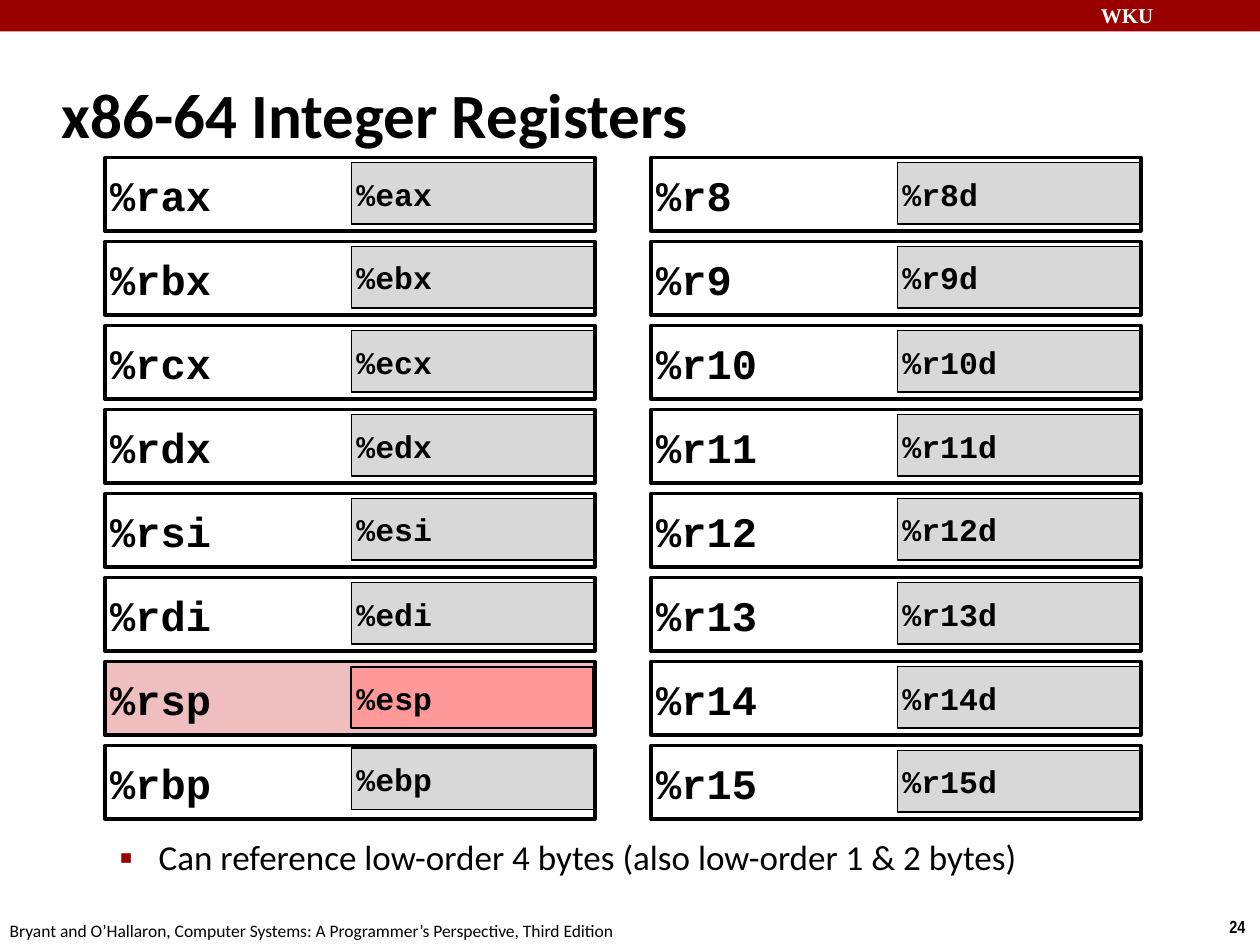
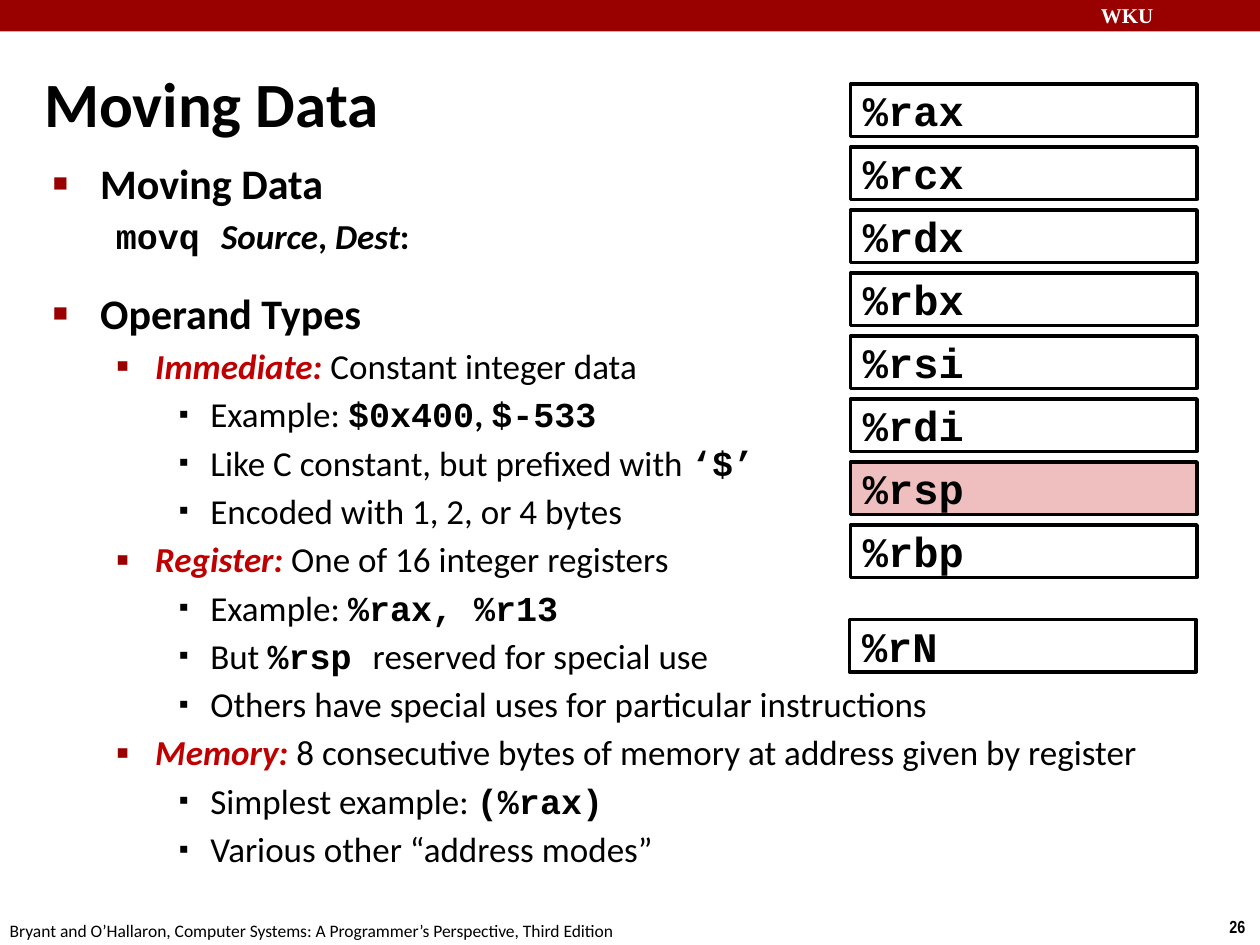
from dataclasses import dataclass
from typing import Any, NamedTuple

from lxml import etree
from pptx import Presentation
from pptx.dml.color import RGBColor
from pptx.enum.shapes import MSO_SHAPE
from pptx.enum.text import MSO_ANCHOR, MSO_AUTO_SIZE, PP_ALIGN
from pptx.oxml.ns import qn
from pptx.util import Pt

RECT = MSO_SHAPE.RECTANGLE
MIDDLE, TOP = MSO_ANCHOR.MIDDLE, MSO_ANCHOR.TOP
LEFT = PP_ALIGN.LEFT
FIXED = MSO_AUTO_SIZE.NONE


@dataclass(frozen=True)
class Theme:
    black: str = "000000"
    white: str = "FFFFFF"
    band: str = "990000"
    term: str = "C00000"
    low: str = "D8D8D8"
    pink: str = "EFBFBF"
    rose: str = "FF9999"
    sans: str = "Calibri"
    mono: str = "Courier New"
    serif: str = "Times New Roman"
    narrow: str = "Arial Narrow"
    title: int = 36
    head: int = 24
    text: int = 20
    small: int = 18
    mark: int = 12
    foot: int = 10


THEME = Theme()


class Area(NamedTuple):
    left: float
    top: float
    width: float
    height: float


class Look(NamedTuple):
    font: str = THEME.sans
    color: str = THEME.black
    bold: bool = False
    italic: bool = False


PLAIN = Look()
BOLD = Look(bold=True)
SLANT = Look(bold=True, italic=True)
TERM = Look(color=THEME.term, bold=True, italic=True)
CODE = Look(font=THEME.mono, bold=True)


class Run(NamedTuple):
    text: str
    look: Look = PLAIN


class Level(NamedTuple):
    indent: float
    hang: float
    size: int
    sign: str
    scale: int
    color: str


LEVELS = (
    Level(27, 27, THEME.head, "■", 60, THEME.band),
    Level(58.5, 22.5, THEME.text, "▪", 110, THEME.band),
    Level(90, 18, THEME.text, "▪", 80, THEME.black),
)


@dataclass(frozen=True)
class Item:
    level: int
    runs: tuple[Run, ...]
    gap: float = 3.6
    sign: bool = True


@dataclass(frozen=True)
class Box:
    text: str
    area: Area
    size: int = THEME.head
    fill: str | None = None
    line: float = 2
    inset: float | None = None
    wrap: bool = True


def apply(target: Any, values: dict[str, Any]) -> None:
    for name, value in values.items():
        setattr(target, name, value)


def place(shape: Any, area: Area) -> None:
    apply(shape, {name: Pt(size) for name, size in area._asdict().items()})


def add_run(para: Any, run: Run, size: int) -> None:
    piece = para.add_run()
    piece.text = run.text
    look = run.look
    apply(piece.font, {"name": look.font, "size": Pt(size),
                       "bold": look.bold, "italic": look.italic})
    piece.font.color.rgb = RGBColor.from_string(look.color)


def add_rect(shapes: Any, area: Area, fill: str | None, line: float = 0) -> Any:
    shape = shapes.add_shape(RECT, *map(Pt, area))
    shape.shadow.inherit = False
    if fill:
        shape.fill.solid()
        shape.fill.fore_color.rgb = RGBColor.from_string(fill)
    else:
        shape.fill.background()
    if line:
        shape.line.width = Pt(line)
        shape.line.color.rgb = RGBColor.from_string(THEME.black)
    else:
        shape.line.fill.background()
    return shape


def add_box(shapes: Any, box: Box) -> None:
    frame = add_rect(shapes, box.area, box.fill, box.line).text_frame
    apply(frame, {"vertical_anchor": MIDDLE, "word_wrap": box.wrap})
    if box.inset is not None:
        sides = ("left", "top", "right", "bottom")
        apply(frame, {f"margin_{side}": Pt(box.inset) for side in sides})
    para = frame.paragraphs[0]
    para.alignment = LEFT
    add_run(para, Run(box.text, CODE), box.size)


def add_label(slide: Any, area: Area, run: Run, size: int, wrap: bool = False) -> None:
    frame = slide.shapes.add_textbox(*map(Pt, area)).text_frame
    frame.word_wrap = wrap
    add_run(frame.paragraphs[0], run, size)


def add_sign(para: Any, item: Item) -> None:
    level = LEVELS[item.level]
    props = para._p.get_or_add_pPr()
    props.set("marL", str(Pt(level.indent)))
    props.set("indent", str(-Pt(level.hang)))
    if not item.sign:
        etree.SubElement(props, qn("a:buNone"))
        return
    color = etree.SubElement(props, qn("a:buClr"))
    etree.SubElement(color, qn("a:srgbClr"), val=level.color)
    etree.SubElement(props, qn("a:buSzPct"), val=str(level.scale * 1000))
    etree.SubElement(props, qn("a:buChar"), char=level.sign)


def fill_list(shape: Any, area: Area, items: tuple[Item, ...]) -> None:
    place(shape, area)
    frame = shape.text_frame
    apply(frame, {"auto_size": FIXED, "vertical_anchor": TOP, "word_wrap": True})
    for index, item in enumerate(items):
        para = frame.add_paragraph() if index else frame.paragraphs[0]
        add_sign(para, item)
        apply(para, {"level": item.level, "alignment": LEFT,
                     "space_before": Pt(item.gap if index else 0)})
        for run in item.runs:
            add_run(para, run, LEVELS[item.level].size)


def add_slide(deck: Any, title: str, head: Area, body: Area,
              items: tuple[Item, ...], page: int) -> Any:
    slide = deck.slides.add_slide(deck.slide_layouts[1])
    add_rect(slide.shapes, Area(0, 0, 720, 18), THEME.band)
    add_label(slide, Area(622, -2, 103, 21.6),
              Run("WKU", Look(THEME.serif, THEME.white, True)), THEME.mark, True)
    add_label(slide, Area(695.5, 520, 24.5, 19.4),
              Run(str(page), Look(THEME.narrow, bold=True)), THEME.foot)
    add_label(slide, Area(-1.5, 522, 366, 19.4),
              Run("Bryant and O’Hallaron, Computer Systems: "
                  "A Programmer’s Perspective, Third Edition"), THEME.foot)
    shape = slide.shapes.title
    place(shape, head)
    apply(shape.text_frame, {"auto_size": FIXED, "vertical_anchor": MIDDLE,
                             "word_wrap": True})
    para = shape.text_frame.paragraphs[0]
    para.alignment = LEFT
    add_run(para, Run(title, BOLD), THEME.title)
    fill_list(slide.placeholders[1], body, items)
    return slide


def add_pair(shapes: Any, name: str, half: str, left: float, top: float) -> None:
    stack = name == "%rsp"
    lift = 1.5 if name == "%rbp" else 0
    full = Box(name, Area(left, top, 280, 42),
               fill=THEME.pink if stack else None, inset=3)
    low = Box(half, Area(left + 140.7, top + 3 - lift, 138.2 if stack else 139, 35),
              THEME.small, THEME.rose if stack else THEME.low,
              1 if stack else 0.75, 3)
    for box in (full, low) if stack else (low, full):
        add_box(shapes, box)


def build_regs(deck: Any) -> None:
    note = Item(1, (Run("Can reference low-order 4 bytes (also low-order 1 & 2 bytes)"),))
    slide = add_slide(deck, "x86-64 Integer Registers", Area(28, 34.5, 598, 60),
                      Area(25, 474, 577, 66), (note,), 24)
    for row, stem in enumerate("ax bx cx dx si di sp bp".split()):
        top = 90 + 48 * row
        add_pair(slide.shapes, f"%r{stem}", f"%e{stem}", 60, top)
        add_pair(slide.shapes, f"%r{row + 8}", f"%r{row + 8}d", 372, top)


MOVES = (
    Item(0, (Run("Moving Data", BOLD),)),
    Item(1, (Run("movq ", CODE), Run("Source", SLANT), Run(", ", BOLD),
             Run("Dest", SLANT), Run(":", BOLD)), sign=False),
    Item(0, (Run("Operand Types", BOLD),), gap=18),
    Item(1, (Run("Immediate:", TERM), Run(" Constant integer data"))),
    Item(2, (Run("Example: "), Run("$0x400", CODE), Run(", ", BOLD),
             Run("$-533", CODE))),
    Item(2, (Run("Like C constant, but prefixed with "), Run("‘$’", CODE))),
    Item(2, (Run("Encoded with 1, 2, or 4 bytes"),)),
    Item(1, (Run("Register: ", TERM), Run("One of 16 integer registers"))),
    Item(2, (Run("Example: "), Run("%rax, %r13", CODE))),
    Item(2, (Run("But "), Run("%rsp ", CODE), Run("reserved for special use"))),
    Item(2, (Run("Others have special uses for particular instructions"),)),
    Item(1, (Run("Memory: ", TERM),
             Run("8 consecutive bytes of memory at address given by register"))),
    Item(2, (Run("Simplest example: "), Run("(%rax)", CODE))),
    Item(2, (Run("Various other “address modes”"),)),
)


def build_moves(deck: Any) -> None:
    slide = add_slide(deck, "Moving Data", Area(18, 36, 436, 45),
                      Area(23, 86.4, 661, 411), MOVES, 26)
    group = slide.shapes.add_group_shape()
    spots = [(f"%r{stem}", 486, 48 + 36 * row)
             for row, stem in enumerate("ax cx dx bx si di sp bp".split())]
    for name, left, top in spots + [("%rN", 485.5, 354)]:
        fill = THEME.pink if name == "%rsp" else THEME.white
        add_box(group.shapes, Box(name, Area(left, top, 198, 30), fill=fill, wrap=False))


def main() -> None:
    deck = Presentation()
    apply(deck, {"slide_width": Pt(720), "slide_height": Pt(540)})
    build_regs(deck)
    build_moves(deck)
    deck.save("out.pptx")


if __name__ == "__main__":
    main()
